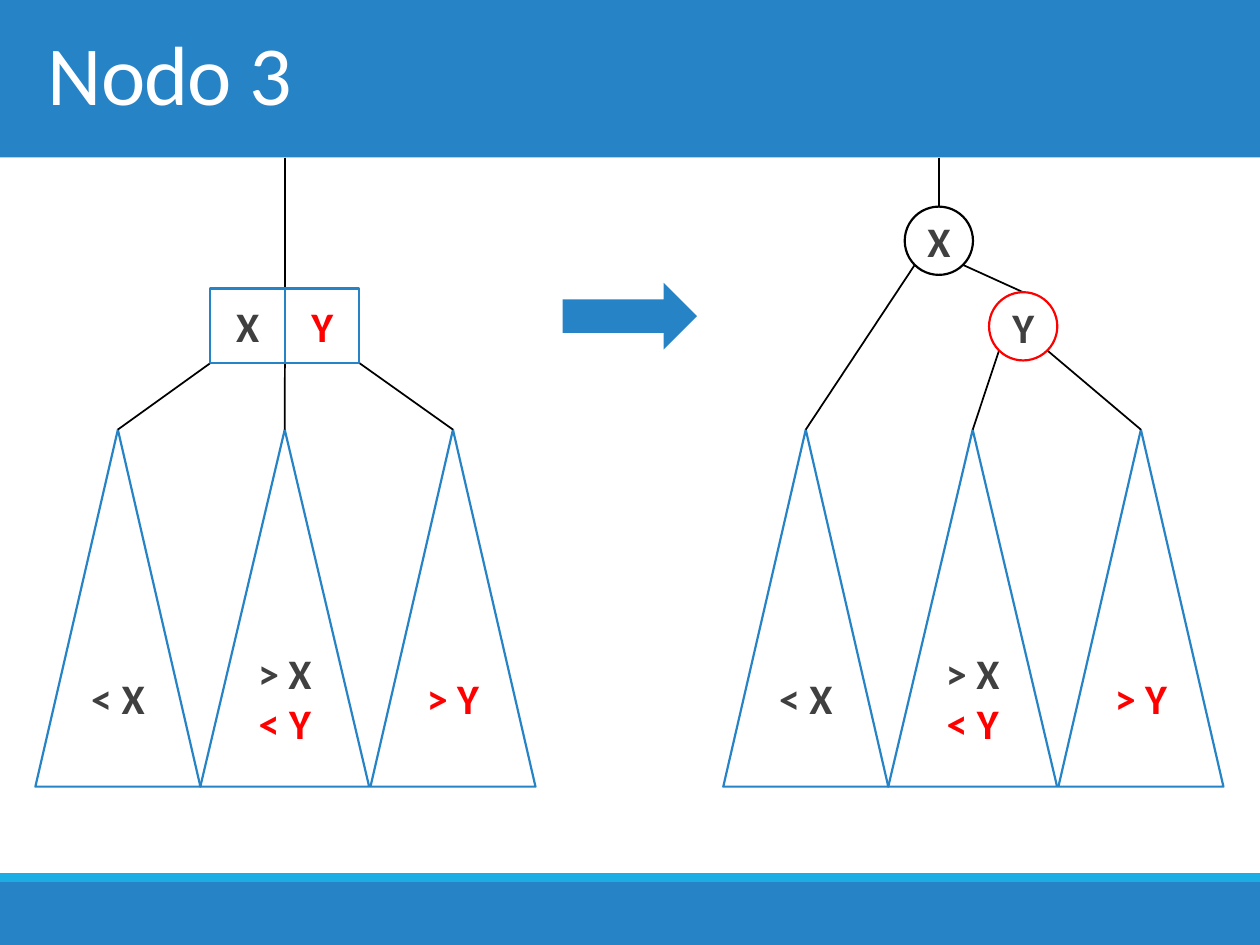
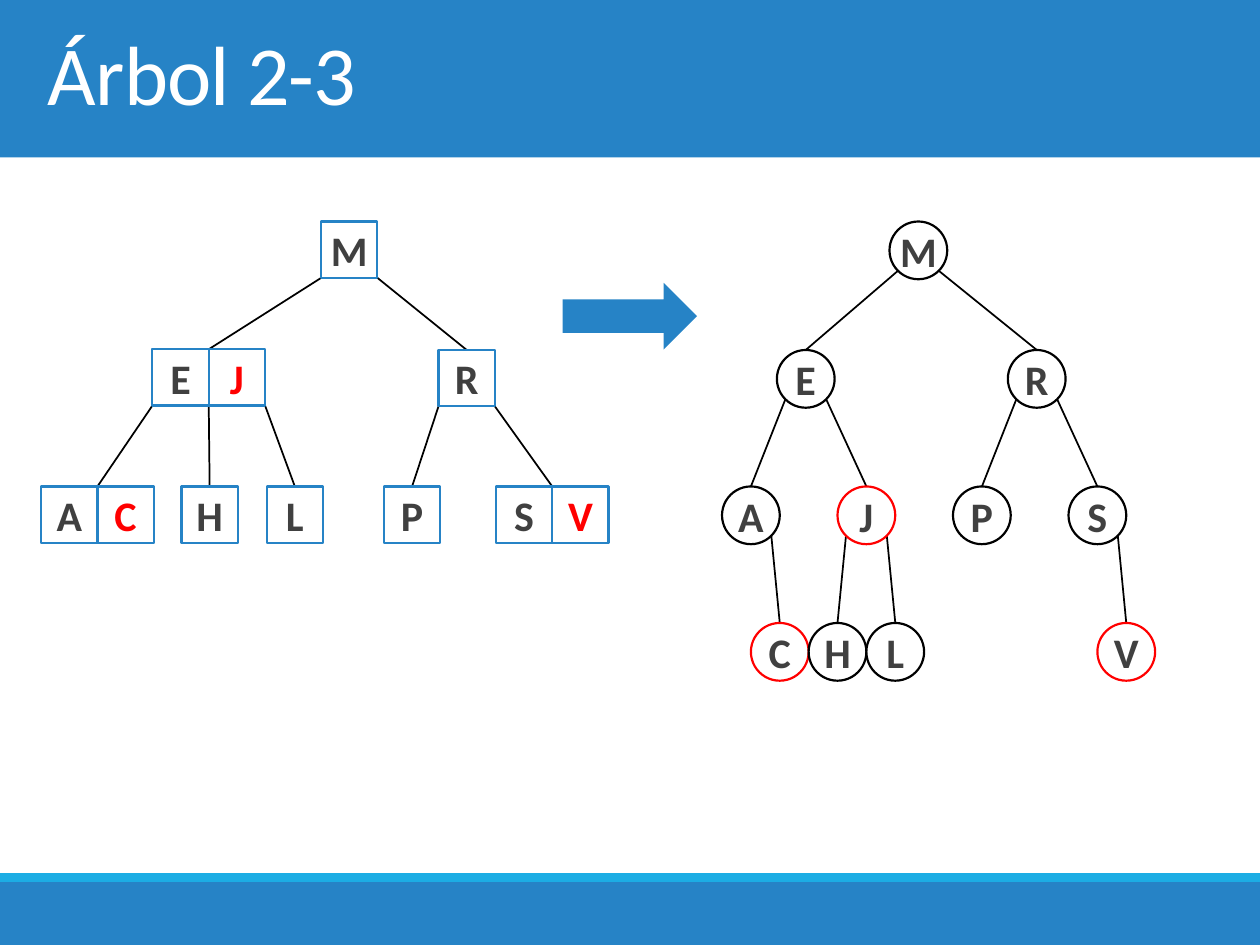
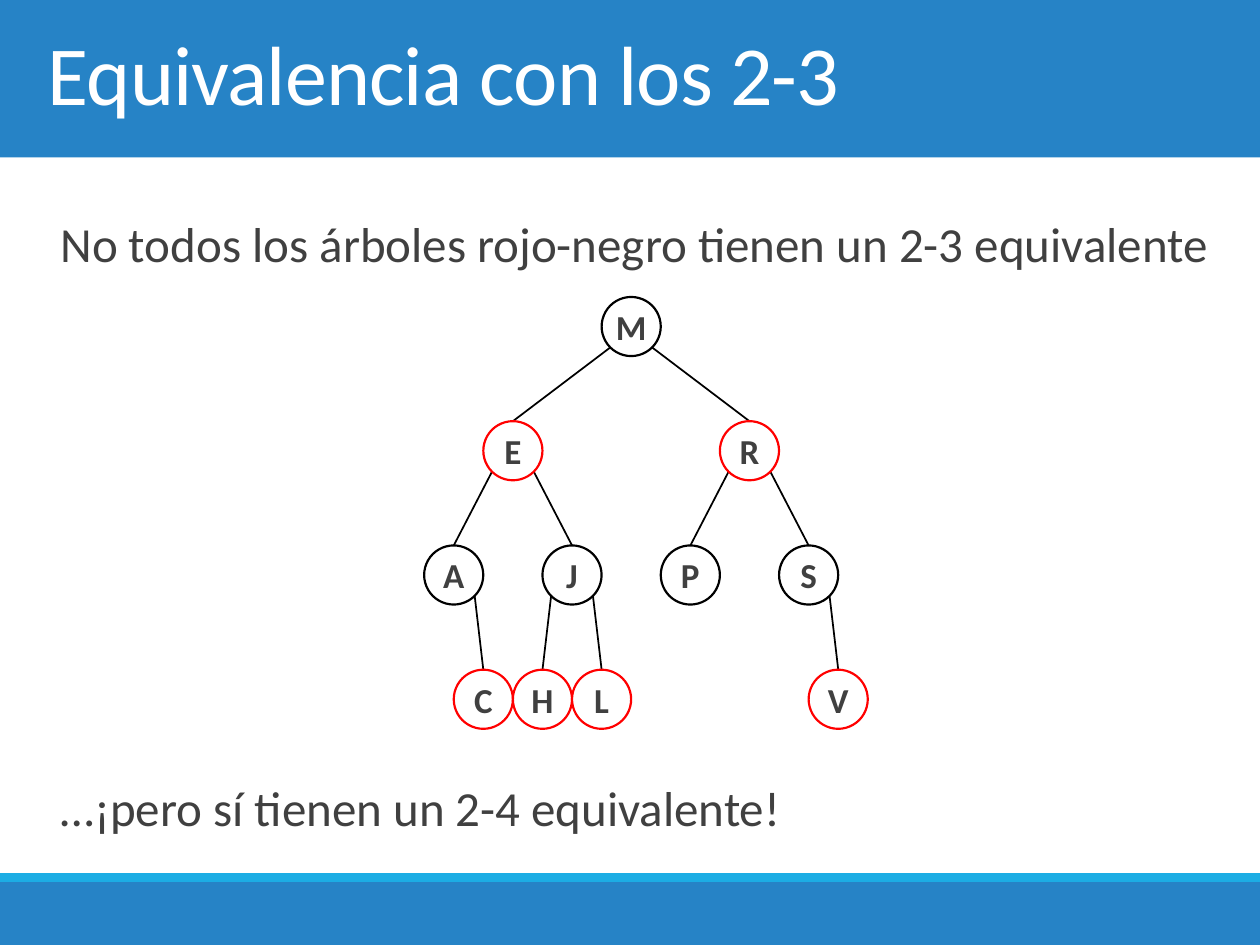
from lxml import etree
from pptx import Presentation
from pptx.dml.color import RGBColor
from pptx.enum.shapes import MSO_CONNECTOR, MSO_SHAPE
from pptx.enum.text import MSO_ANCHOR, MSO_AUTO_SIZE, PP_ALIGN
from pptx.oxml.ns import qn
from pptx.util import Pt

RECT, OVAL = MSO_SHAPE.RECTANGLE, MSO_SHAPE.OVAL
TRIANGLE, ARROW = MSO_SHAPE.ISOSCELES_TRIANGLE, MSO_SHAPE.RIGHT_ARROW
STRAIGHT = MSO_CONNECTOR.STRAIGHT
LEFT, CENTER, MIDDLE = PP_ALIGN.LEFT, PP_ALIGN.CENTER, MSO_ANCHOR.MIDDLE
NO_AUTOFIT = MSO_AUTO_SIZE.NONE

BLUE, CYAN, WHITE, BLACK = "2683C6", "1CADE4", "FFFFFF", "000000"
INK, RED, FONT = "404040", "FF0000", "Calibri"
WIDTH, HEIGHT = 720, 540
TITLE_BOX = (20.2, 0, 680.4, 90)
BODY_BOX = (20.2, 101.5, 680.4, 386)
ARROW_BOX = (321.5, 161.6, 76.8, 38.2)
BANDS = [
    (0, 0, WIDTH, 90, BLUE),
    (0, 504, WIDTH, 36, BLUE),
    (0, 499, WIDTH, 5, CYAN),
]

TITLES = ["Nodo 3", "Árbol 2-3", "Equivalencia con los 2-3"]
STATEMENTS = [
    ("No todos los árboles rojo-negro tienen un 2-3 equivalente", 0),
    ("…¡pero sí tienen un 2-4 equivalente!", 270),
]

SUBTREES = [
    (20.2, 94.3, [("< X", INK)]),
    (114.5, 96.5, [("> X", INK), ("< Y", RED)]),
    (211.7, 94.3, [("> Y", RED)]),
]
SUBTREE_TOP, SUBTREE_HEIGHT = 245.5, 204
RED_BLACK_SHIFT = 393.1

TREE_23 = {
    "M": (183.5, 126.6),
    "EJ": (87.1, 199.6),
    "R": (250.6, 200),
    "AC": (23.5, 278),
    "H": (103.7, 278),
    "L": (152.4, 278),
    "P": (219.4, 278),
    "SV": (283.4, 278),
}
BRANCHES_23 = [
    ("M", 0, "EJ"), ("M", 1, "R"),
    ("EJ", 0, "AC"), ("EJ", 0.5, "H"), ("EJ", 1, "L"),
    ("R", 0, "P"), ("R", 1, "SV"),
]

LEVELS = ["M", "ER", "AJPS", "CHLV"]
COLUMNS = dict(A=0, C=1, E=2, H=3, J=4, L=5, M=6, P=8, R=10, S=12, V=13)
EQUIVALENT_COLUMNS = {**COLUMNS, "E": 1.9, "M": 5.8, "R": 9.9}
CHILDREN = {"M": "ER", "E": "AJ", "R": "PS", "A": "C", "J": "HL", "S": "V"}


def rgb(code):
    return RGBColor.from_string(code)


def write(frame, text, size=24, color=INK, bold=False, align=LEFT,
          line_spacing=None, before=None, after=None, tracking=None):
    paragraph = frame.paragraphs[0]
    if paragraph.text:
        paragraph = frame.add_paragraph()
    paragraph.alignment = align
    if line_spacing:
        paragraph.line_spacing = line_spacing
    if before is not None:
        paragraph.space_before = Pt(before)
    if after is not None:
        paragraph.space_after = Pt(after)
    run = paragraph.add_run()
    run.text = text
    run.font.name = FONT
    run.font.size = Pt(size)
    run.font.bold = bold
    run.font.color.rgb = rgb(color)
    if tracking:
        run.font._element.set("spc", str(round(tracking * 100)))


def draw(shapes, kind, box, fill=WHITE, outline=None, lines=(), size=24):
    shape = shapes.add_shape(kind, *map(Pt, box))
    shape.shadow.inherit = False
    shape.fill.solid()
    shape.fill.fore_color.rgb = rgb(fill)
    if outline:
        shape.line.color.rgb = rgb(outline)
        shape.line.width = Pt(1.25)
    else:
        shape.line.fill.background()
    if lines:
        frame = shape.text_frame
        frame.margin_left = frame.margin_right = 0
        frame.margin_top = frame.margin_bottom = 0
        frame.vertical_anchor = MIDDLE
        for text, color in lines:
            write(frame, text, size=size, color=color, bold=True, align=CENTER)
    return shape


def connect(shapes, start, end):
    line = shapes.add_connector(STRAIGHT, *map(Pt, (*start, *end)))
    line.line.color.rgb = rgb(BLACK)
    line.line.width = Pt(1)
    etree.SubElement(line.element.find(qn("p:spPr")), qn("a:effectLst"))


def box_point(letters, corner, side, fraction, down):
    left, top = corner
    return left + len(letters) * side * fraction, top + side * down


def key_boxes(shapes, letters, corner, side):
    left, top = corner
    for i, (letter, color) in enumerate(zip(letters, (INK, RED))):
        draw(shapes, RECT, (left + i * side, top, side, side),
             outline=BLUE, lines=[(letter, color)])


def circle(shapes, letter, corner, diameter, red=False, size=24):
    draw(shapes, OVAL, (*corner, diameter, diameter),
         outline=RED if red else BLACK, lines=[(letter, INK)], size=size)


def circle_top(corner, diameter):
    return corner[0] + diameter / 2, corner[1]


def circle_foot(corner, diameter, direction):
    reach = diameter / 2 * 0.707
    return (corner[0] + diameter / 2 + direction * reach,
            corner[1] + diameter / 2 + reach)


def subtrees(shapes, shift):
    apexes = []
    for left, width, lines in SUBTREES:
        draw(shapes, TRIANGLE, (left + shift, SUBTREE_TOP, width, SUBTREE_HEIGHT),
             outline=BLUE, lines=lines)
        apexes.append((left + shift + width / 2, SUBTREE_TOP))
    return apexes


def red_black_tree(shapes, columns, left, tops, diameter, reds, size):
    corners = {
        key: (left + columns[key] * diameter / 2, top)
        for keys, top in zip(LEVELS, tops) for key in keys
    }
    for parent, children in CHILDREN.items():
        for child in children:
            direction = 1 if columns[child] > columns[parent] else -1
            connect(shapes, circle_foot(corners[parent], diameter, direction),
                    circle_top(corners[child], diameter))
    for key, corner in corners.items():
        circle(shapes, key, corner, diameter, key in reds, size)


def place(shape, box):
    shape.left, shape.top, shape.width, shape.height = map(Pt, box)


def add_slide(title):
    slide = deck.slides.add_slide(layout)
    place(slide.shapes.title, TITLE_BOX)
    frame = slide.shapes.title.text_frame
    frame.vertical_anchor = MIDDLE
    frame.auto_size = NO_AUTOFIT
    write(frame, title, size=48, color=WHITE, line_spacing=0.9, tracking=-0.5)
    return slide


deck = Presentation()
deck.slide_width, deck.slide_height = Pt(WIDTH), Pt(HEIGHT)
layout = deck.slide_layouts[5]
node_slide, tree_slide, equivalence_slide = map(add_slide, TITLES)

for position, (*box, color) in enumerate(BANDS):
    band = draw(node_slide.shapes, RECT, box, fill=color)
    layout.shapes.element.insert(2 + position, band.element)

shapes = node_slide.shapes
pair, pair_side = (120.2, 164.9), 42.6
stem = box_point("XY", pair, pair_side, 0.5, 0)
connect(shapes, (stem[0], 90), stem)
for fraction, apex in zip((0, 0.5, 1), subtrees(shapes, 0)):
    connect(shapes, box_point("XY", pair, pair_side, fraction, 1), apex)
key_boxes(shapes, "XY", pair, pair_side)

x_corner, y_corner, node_size = (517, 118.1), (565.2, 167), 39
low, between, high = subtrees(shapes, RED_BLACK_SHIFT)
x_top = circle_top(x_corner, node_size)
connect(shapes, (x_top[0], 90), x_top)
for corner, direction, end in [
    (x_corner, -1, low),
    (x_corner, 1, circle_top(y_corner, node_size)),
    (y_corner, -1, between),
    (y_corner, 1, high),
]:
    connect(shapes, circle_foot(corner, node_size, direction), end)
circle(shapes, "X", x_corner, node_size)
circle(shapes, "Y", y_corner, node_size, red=True)

shapes = tree_slide.shapes
key_side = 32.2
for parent, fraction, child in BRANCHES_23:
    connect(shapes, box_point(parent, TREE_23[parent], key_side, fraction, 1),
            box_point(child, TREE_23[child], key_side, 0.5, 0))
for letters, corner in TREE_23.items():
    key_boxes(shapes, letters, corner, key_side)
red_black_tree(shapes, EQUIVALENT_COLUMNS, 412.6, (126.6, 200, 278, 356),
               33, "JCV", 24)

for slide in (node_slide, tree_slide):
    draw(slide.shapes, ARROW, ARROW_BOX, fill=BLUE)

statement_box = equivalence_slide.shapes.add_textbox(*map(Pt, BODY_BOX))
frame = statement_box.text_frame
frame.word_wrap = True
frame.margin_left = Pt(14.4)
for text, before in STATEMENTS:
    write(frame, text, size=28, line_spacing=1.5, before=before, after=2)
red_black_tree(equivalence_slide.shapes.add_group_shape().shapes, COLUMNS, 242.4,
               [169.7 + 71 * level for level in range(len(LEVELS))],
               33.8, "ERCHLV", 20)

deck.save("out.pptx")
